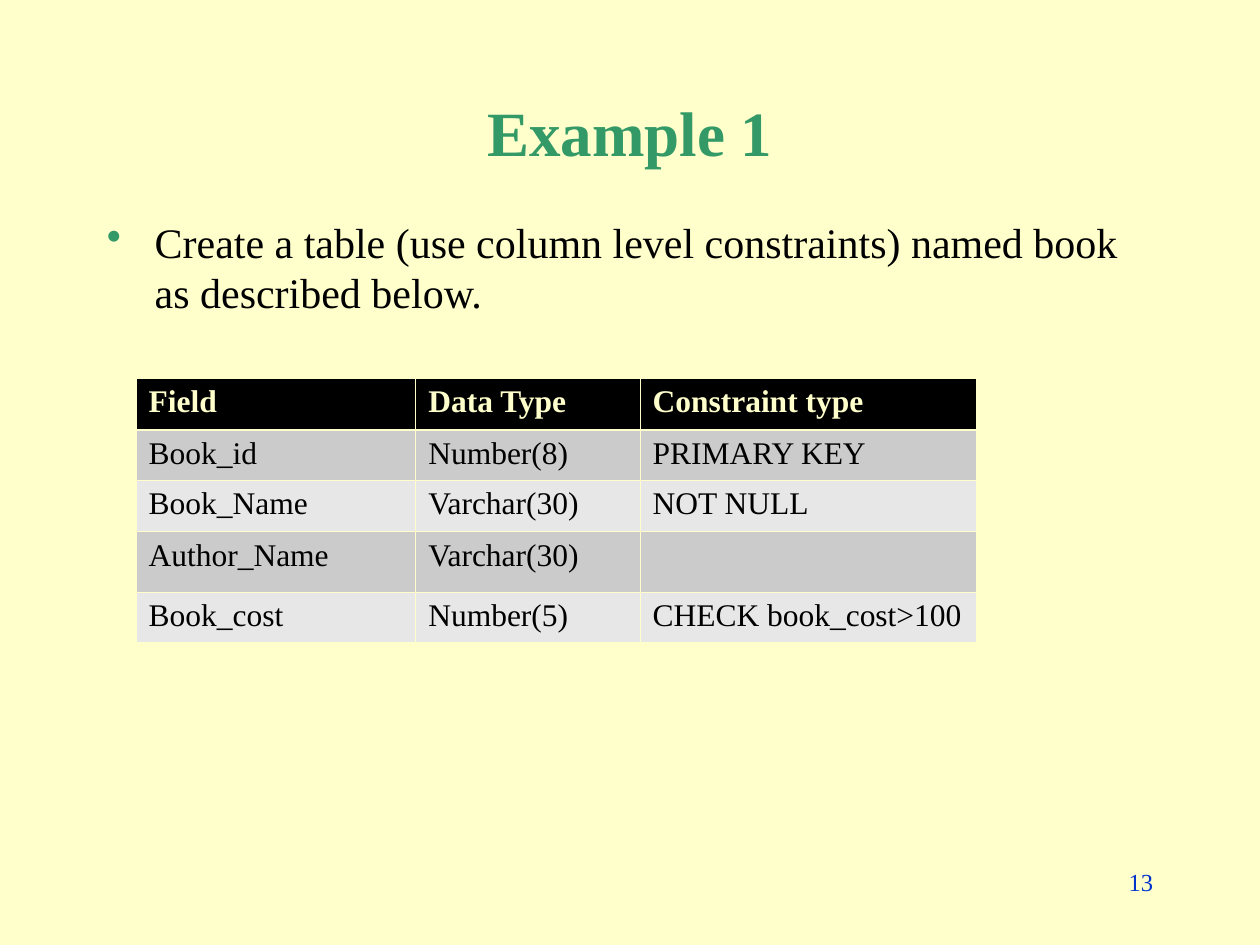
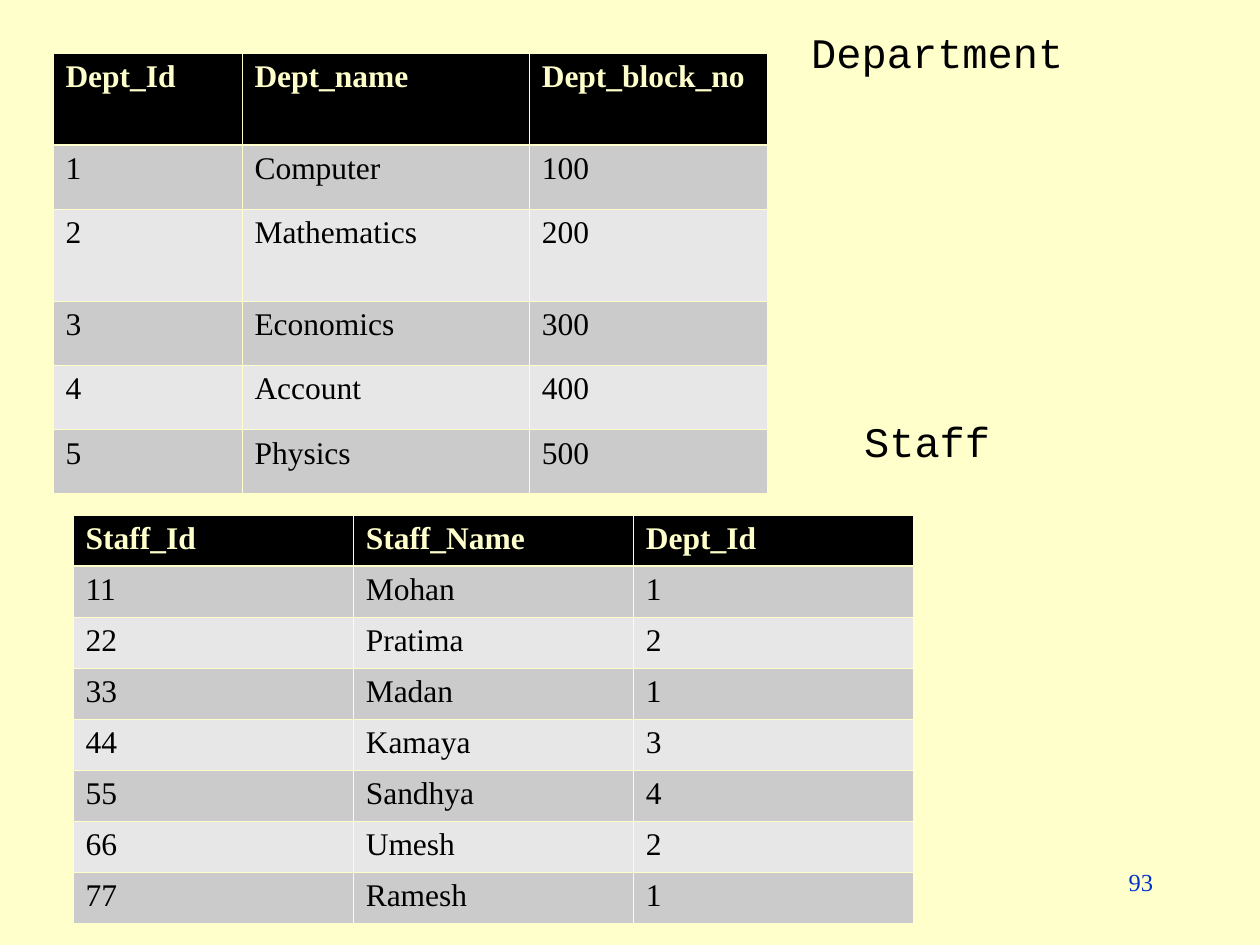
from dataclasses import dataclass

from lxml.etree import SubElement
from pptx import Presentation
from pptx.dml.color import RGBColor
from pptx.enum.text import MSO_ANCHOR, PP_ALIGN
from pptx.oxml.ns import qn
from pptx.util import Inches, Pt


@dataclass(frozen=True)
class Theme:
    background: str = "FFFFCC"
    accent: str = "339966"
    ink: str = "000000"
    page_number: str = "0033CC"
    header_fill: str = "000000"
    row_fills: tuple = ("CBCBCB", "E7E7E7")
    serif: str = "Times New Roman"
    mono: str = "Courier New"
    title_size: int = 36
    body_size: int = 24
    table_size: int = 18
    number_size: int = 14
    thin_rule: float = 0.45
    thick_rule: float = 1.47


THEME = Theme()


def style(paragraph, size, color, face=THEME.serif, bold=False):
    font = paragraph.font
    font.name = face
    font.size = Pt(size)
    font.bold = bold
    font.color.rgb = RGBColor.from_string(color)


def add_text(slide, box, text, wrap=True):
    frame = slide.shapes.add_textbox(*map(Inches, box)).text_frame
    frame.word_wrap = wrap
    frame.text = text
    return frame, frame.paragraphs[0]


def add_title(slide, box, text):
    frame, title = add_text(slide, box, text)
    frame.vertical_anchor = MSO_ANCHOR.MIDDLE
    title.alignment = PP_ALIGN.CENTER
    style(title, THEME.title_size, THEME.accent, bold=True)


def add_bullet(slide, box, text, indent=0.38):
    _, bullet = add_text(slide, box, text)
    properties = bullet._p.get_or_add_pPr()
    properties.set("marL", str(Inches(indent)))
    properties.set("indent", str(-Inches(indent)))
    color = SubElement(properties, qn("a:buClr"))
    SubElement(color, qn("a:srgbClr"), val=THEME.accent)
    SubElement(properties, qn("a:buChar"), char="•")
    style(bullet, THEME.body_size, THEME.ink)


def add_label(slide, box, text):
    _, label = add_text(slide, box, text, wrap=False)
    style(label, THEME.body_size, THEME.ink, THEME.mono)


def add_page_number(slide, number):
    _, page = add_text(slide, (7.17, 6.83, 2.08, 0.5), str(number))
    page.alignment = PP_ALIGN.RIGHT
    style(page, THEME.number_size, THEME.page_number)


def rule_cell(cell, row):
    widths = dict.fromkeys(("lnL", "lnR", "lnT", "lnB"), THEME.thin_rule)
    if row == 0:
        widths["lnB"] = THEME.thick_rule
    elif row == 1:
        widths["lnT"] = THEME.thick_rule
    properties = cell._tc.get_or_add_tcPr()
    for side, width in widths.items():
        line = SubElement(properties, qn(f"a:{side}"), w=str(Pt(width)))
        fill = SubElement(line, qn("a:solidFill"))
        SubElement(fill, qn("a:srgbClr"), val=THEME.background)


def add_data_table(slide, left, top, column_widths, row_heights, records):
    box = (left, top, sum(column_widths), sum(row_heights))
    table = slide.shapes.add_table(
        len(records), len(column_widths), *map(Inches, box)).table
    for column, width in zip(table.columns, column_widths):
        column.width = Inches(width)
    for row, (height, record) in enumerate(zip(row_heights, records)):
        table.rows[row].height = Inches(height)
        header = row == 0
        fill = THEME.header_fill if header else THEME.row_fills[(row - 1) % 2]
        color = THEME.background if header else THEME.ink
        for column, value in enumerate(record):
            cell = table.cell(row, column)
            rule_cell(cell, row)
            cell.fill.solid()
            cell.fill.fore_color.rgb = RGBColor.from_string(fill)
            cell.text = value
            style(cell.text_frame.paragraphs[0], THEME.table_size, color, bold=header)


def new_slide(deck, number):
    slide = deck.slides.add_slide(deck.slide_layouts[6])
    slide.background.fill.solid()
    slide.background.fill.fore_color.rgb = RGBColor.from_string(THEME.background)
    add_page_number(slide, number)
    return slide


def build_example(deck):
    slide = new_slide(deck, 13)
    add_title(slide, (0.75, 0.67, 8.5, 0.75), "Example 1")
    add_bullet(slide, (0.75, 1.67, 8.5, 5),
               "Create a table (use column level constraints) named book as described below.")
    book_fields = [
        ("Field", "Data Type", "Constraint type"),
        ("Book_id", "Number(8)", "PRIMARY KEY"),
        ("Book_Name", "Varchar(30)", "NOT NULL"),
        ("Author_Name", "Varchar(30)", ""),
        ("Book_cost", "Number(5)", "CHECK book_cost>100"),
    ]
    add_data_table(slide, 1.08, 3, (2.22, 1.78, 2.67),
                   (0.41, 0.4, 0.41, 0.48, 0.4), book_fields)


def build_department_and_staff(deck):
    slide = new_slide(deck, 93)
    departments = [
        ("Dept_Id", "Dept_name", "Dept_block_no"),
        ("1", "Computer", "100"),
        ("2", "Mathematics", "200"),
        ("3", "Economics", "300"),
        ("4", "Account", "400"),
        ("5", "Physics", "500"),
    ]
    staff = [
        ("Staff_Id", "Staff_Name", "Dept_Id"),
        ("11", "Mohan", "1"),
        ("22", "Pratima", "2"),
        ("33", "Madan", "1"),
        ("44", "Kamaya", "3"),
        ("55", "Sandhya", "4"),
        ("66", "Umesh", "2"),
        ("77", "Ramesh", "1"),
    ]
    add_data_table(slide, 0.42, 0.42, (1.5, 2.28, 1.89),
                   (0.73, 0.51, 0.73, 0.51, 0.51, 0.51), departments)
    add_data_table(slide, 0.58, 4.09, [6.67 / 3] * 3,
                   [3.24 / len(staff)] * len(staff), staff)
    add_label(slide, (6.34, 0.16, 2.2, 0.5), "Department")
    add_label(slide, (6.76, 3.25, 1.2, 0.5), "Staff")


def main():
    deck = Presentation()
    deck.slide_width = Inches(10)
    deck.slide_height = Inches(7.5)
    build_example(deck)
    build_department_and_staff(deck)
    deck.save("out.pptx")


if __name__ == "__main__":
    main()
